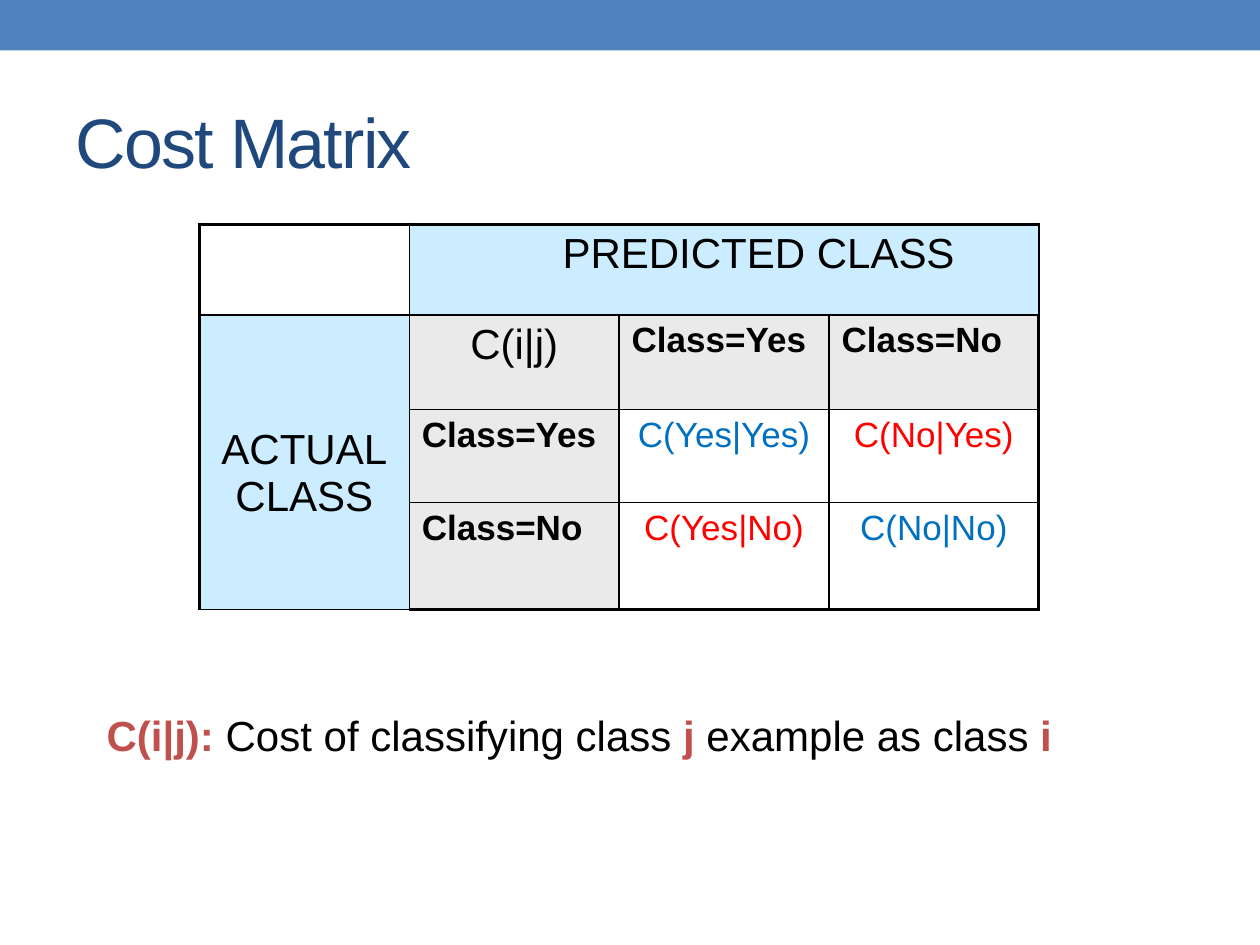
from lxml.etree import SubElement
from pptx import Presentation
from pptx.dml.color import RGBColor as Color
from pptx.enum.shapes import MSO_SHAPE as Preset
from pptx.enum.text import MSO_ANCHOR as Anchor, MSO_AUTO_SIZE as AutoSize, PP_ALIGN as Align
from pptx.oxml.ns import qn
from pptx.util import Cm, Pt

COLOURS = {
    "bar": "4F81BD", "title": "1F497D", "text": "000000", "accent": "C0504D",
    "heading": "CCECFF", "label": "EAEAEA", "right": "0070C0", "wrong": "FF0000",
}
TITLE_ONLY = 5


def colour(name):
    return Color.from_string(COLOURS[name])


def write(para, text, size=24, name="text", bold=False, spacing=None):
    for index, line in enumerate(text.split("\n")):
        if index:
            para.add_line_break()
        span = para.add_run()
        span.text = line
        span.font.name = "Arial"
        span.font.size = Pt(size)
        span.font.bold = bold
        span.font.color.rgb = colour(name)
        if spacing is not None:
            span.font._element.set("spc", str(round(spacing * 100)))


class Page:
    thin, thick = 1, 2.25

    def __init__(self, deck):
        self.slide = deck.slides.add_slide(deck.slide_layouts[TITLE_ONLY])

    def bar(self, left, top, width, height):
        shape = self.slide.shapes.add_shape(
            Preset.RECTANGLE, Cm(left), Cm(top), Cm(width), Cm(height))
        shape.shadow.inherit = False
        shape.fill.solid()
        shape.fill.fore_color.rgb = colour("bar")
        shape.line.fill.background()

    def title(self, text, left, top, width, height):
        box = self.slide.shapes.title
        box.left, box.top, box.width, box.height = Cm(left), Cm(top), Cm(width), Cm(height)
        frame = box.text_frame
        frame.auto_size = AutoSize.NONE
        frame.vertical_anchor = Anchor.MIDDLE
        para = frame.paragraphs[0]
        para.alignment = Align.LEFT
        write(para, text, size=40, name="title", spacing=-1)

    def text(self, spans, left, top, width, height):
        box = self.slide.shapes.add_textbox(Cm(left), Cm(top), Cm(width), Cm(height))
        box.text_frame.word_wrap = True
        for text, style in spans:
            write(box.text_frame.paragraphs[0], text, **style)

    def table(self, left, top, column_width, columns, heights):
        rows = len(heights)
        frame = self.slide.shapes.add_table(
            rows, columns, Cm(left), Cm(top), Cm(column_width * columns), Cm(sum(heights)))
        table = frame.table
        table.first_row = table.horz_banding = False
        for column in table.columns:
            column.width = Cm(column_width)
        for r, height in enumerate(heights):
            table.rows[r].height = Cm(height)
            for c in range(columns):
                cell = table.cell(r, c)
                outer = {"L": c == 0, "R": c == columns - 1, "T": r == 0, "B": r == rows - 1}
                for side, edge in outer.items():
                    self.border(cell, side, self.thick if edge else self.thin)
                cell.fill.background()
        return table

    def border(self, cell, side, width):
        line = SubElement(cell._tc.get_or_add_tcPr(), qn(f"a:ln{side}"), w=str(Pt(width)))
        fill = SubElement(line, qn("a:solidFill"))
        SubElement(fill, qn("a:srgbClr"), val=COLOURS["text"])

    def cell(self, cell, text, fill=None, align=Align.CENTER, **style):
        if fill:
            cell.fill.solid()
            cell.fill.fore_color.rgb = colour(fill)
        para = cell.text_frame.paragraphs[0]
        para.alignment = align
        write(para, text, **style)


def main():
    deck = Presentation()
    deck.slide_width, deck.slide_height = Cm(25.4), Cm(19.05)
    page = Page(deck)
    page.bar(0, 0, 25.4, 1.02)
    page.title("Cost Matrix", 1.27, 1.47, 22.86, 2.74)

    matrix = page.table(4.02, 4.52, 4.23, 4, [1.83, 1.91, 1.87, 2.16])
    predicted, actual = matrix.cell(0, 1), matrix.cell(1, 0)
    predicted.merge(matrix.cell(0, 3))
    actual.merge(matrix.cell(3, 0))
    predicted.margin_left = Cm(1.65)
    actual.margin_top = Cm(0.56)
    actual.vertical_anchor = Anchor.MIDDLE
    page.cell(predicted, "PREDICTED CLASS", fill="heading")
    page.cell(actual, "ACTUAL\nCLASS", fill="heading")
    page.cell(matrix.cell(1, 1), "C(i|j)", fill="label")

    classes = ["Yes", "No"]
    for i, true_class in enumerate(classes, 2):
        for label in (matrix.cell(1, i), matrix.cell(i, 1)):
            page.cell(label, f"Class={true_class}", fill="label",
                      align=Align.LEFT, size=20, bold=True)
        for j, guess in enumerate(classes, 2):
            page.cell(matrix.cell(i, j), f"C({guess}|{true_class})", size=20,
                      name="right" if i == j else "wrong")

    strong = {"name": "accent", "bold": True}
    page.text([("C(i|j): ", strong), ("Cost of classifying class ", {}), ("j", strong),
               (" example as class ", {}), ("i", strong)], 1.9, 14.17, 21.8, 2.54)
    deck.save("out.pptx")


if __name__ == "__main__":
    main()
